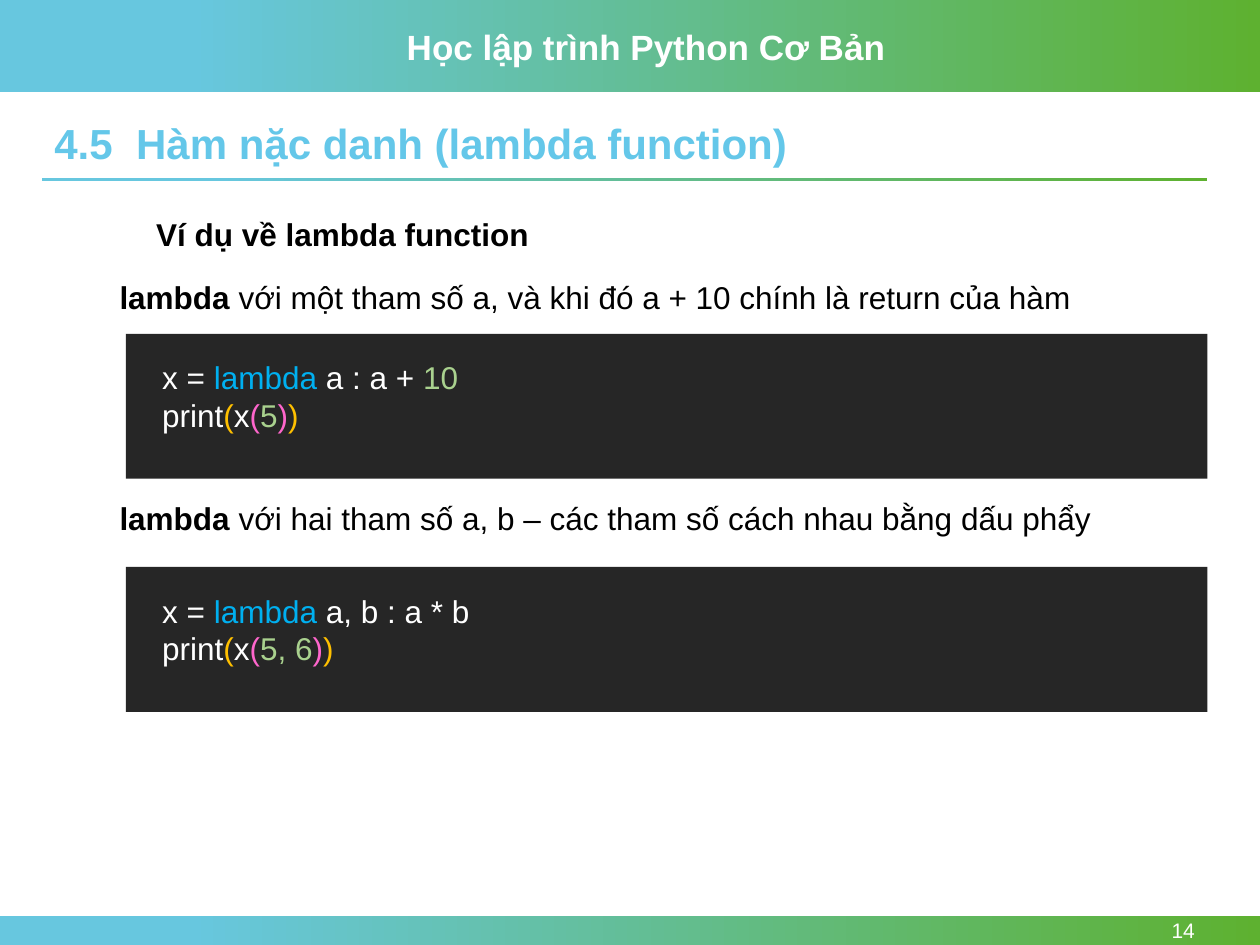
from pptx import Presentation
from pptx.dml.color import RGBColor
from pptx.enum.shapes import MSO_SHAPE as Shape
from pptx.enum.text import MSO_ANCHOR as Anchor, MSO_AUTO_SIZE as AutoSize, PP_ALIGN as Align
from pptx.util import Cm, Pt

WHITE, BLACK, DARK = "FFFFFF", "000000", "262626"
SKY, LEAF, TITLE_BLUE = "67C7DF", "5EB130", "64C7E9"
KEYWORD, NUMBER, OUTER, INNER = "00B0F0", "A9D18E", "FFC000", "FF66CC"

BANDS = [(0, 0, 25.4, 1.85), (0, 18.47, 25.4, 0.58), (0.84, 3.58, 23.5, 0.08)]
COURSE = "Học lập trình Python Cơ Bản"
TITLE = "4.5\tHàm nặc danh (lambda function)"
HEADING = "Ví dụ về lambda function"
PAGE_NUMBER = "14"
EXAMPLES = [
    {"caption_top": 5.49, "panel_top": 6.73, "body": "a : a + ", "constant": "10", "arguments": "5",
     "caption": "với một tham số a, và khi đó a + 10 chính là return của hàm"},
    {"caption_top": 9.93, "panel_top": 11.43, "body": "a, b : a * b", "constant": "", "arguments": "5, 6",
     "caption": "với hai tham số a, b – các tham số cách nhau bằng dấu phẩy"},
]


def color(value):
    return RGBColor.from_string(value)


def add_bar(page, area, fill=None):
    bar = page.shapes.add_shape(Shape.RECTANGLE, *map(Cm, area))
    bar.shadow.inherit = False
    bar.line.fill.background()
    if fill:
        bar.fill.solid()
        bar.fill.fore_color.rgb = color(fill)
        return
    bar.fill.gradient()
    bar.fill.gradient_angle = 0
    for stop, (position, shade) in zip(bar.fill.gradient_stops, [(0.15, SKY), (1, LEAF)]):
        stop.position = position
        stop.color.rgb = color(shade)


def write(box, lines, size=18, align=Align.LEFT, anchor=Anchor.TOP):
    frame = box.text_frame
    for name, value in {"word_wrap": True, "auto_size": AutoSize.NONE, "vertical_anchor": anchor}.items():
        setattr(frame, name, value)
    for index, spans in enumerate(lines):
        para = frame.add_paragraph() if index else frame.paragraphs[0]
        para.alignment = align
        for text, shade, bold in spans:
            span = para.add_run()
            span.text = text
            for name, value in {"name": "Arial", "size": Pt(size), "bold": bold}.items():
                setattr(span.font, name, value)
            span.font.color.rgb = color(shade)


def add_text(page, area, lines, **layout):
    write(page.shapes.add_textbox(*map(Cm, area)), lines, **layout)


def add_title(page):
    title = page.shapes.title
    for name, value in {"left": 0.84, "top": 2.36, "width": 23.5, "height": 1.17}.items():
        setattr(title, name, Cm(value))
    para = title.text_frame.paragraphs[0]
    para.line_spacing = 0.9
    tabs = para._p.get_or_add_pPr().makeelement(
        "{http://schemas.openxmlformats.org/drawingml/2006/main}tabLst", {})
    tab = tabs.makeelement(tabs.tag.replace("tabLst", "tab"), {"pos": str(Cm(1.65)), "algn": "l"})
    tabs.append(tab)
    para._p.pPr.append(tabs)
    write(title, [[(TITLE, TITLE_BLUE, True)]], size=24)


def code_lines(example):
    definition = [("x = ", WHITE), ("lambda", KEYWORD), (" " + example["body"], WHITE), (example["constant"], NUMBER)]
    call = [("print", WHITE), ("(", OUTER), ("x", WHITE), ("(", INNER),
            (example["arguments"], NUMBER), (")", INNER), (")", OUTER)]
    return [[(text, shade, False) for text, shade in line if text] for line in (definition, call)]


def main():
    deck = Presentation()
    deck.slide_width, deck.slide_height = Cm(25.4), Cm(19.05)
    page = deck.slides.add_slide(deck.slide_layouts[5])
    for area in BANDS:
        add_bar(page, area)
    add_title(page)
    add_text(page, (7.95, 0.38, 10.16, 1.12), [[(COURSE, WHITE, True)]], size=20)
    add_text(page, (22, 18.47, 2.34, 0.58), [[(PAGE_NUMBER, WHITE, False)]],
             size=12, align=Align.RIGHT, anchor=Anchor.MIDDLE)
    add_text(page, (2.9, 4.22, 19.63, 1.02), [[(HEADING, BLACK, True)]])
    for example in EXAMPLES:
        top = example["panel_top"]
        add_bar(page, (2.54, top, 21.8, 2.92), DARK)
        add_text(page, (3.02, top + 0.37, 19.76, 1.8), code_lines(example))
        add_text(page, (2.16, example["caption_top"], 21.31, 1.02),
                 [[("lambda ", BLACK, True), (example["caption"], BLACK, False)]])
    deck.save("out.pptx")


if __name__ == "__main__":
    main()
